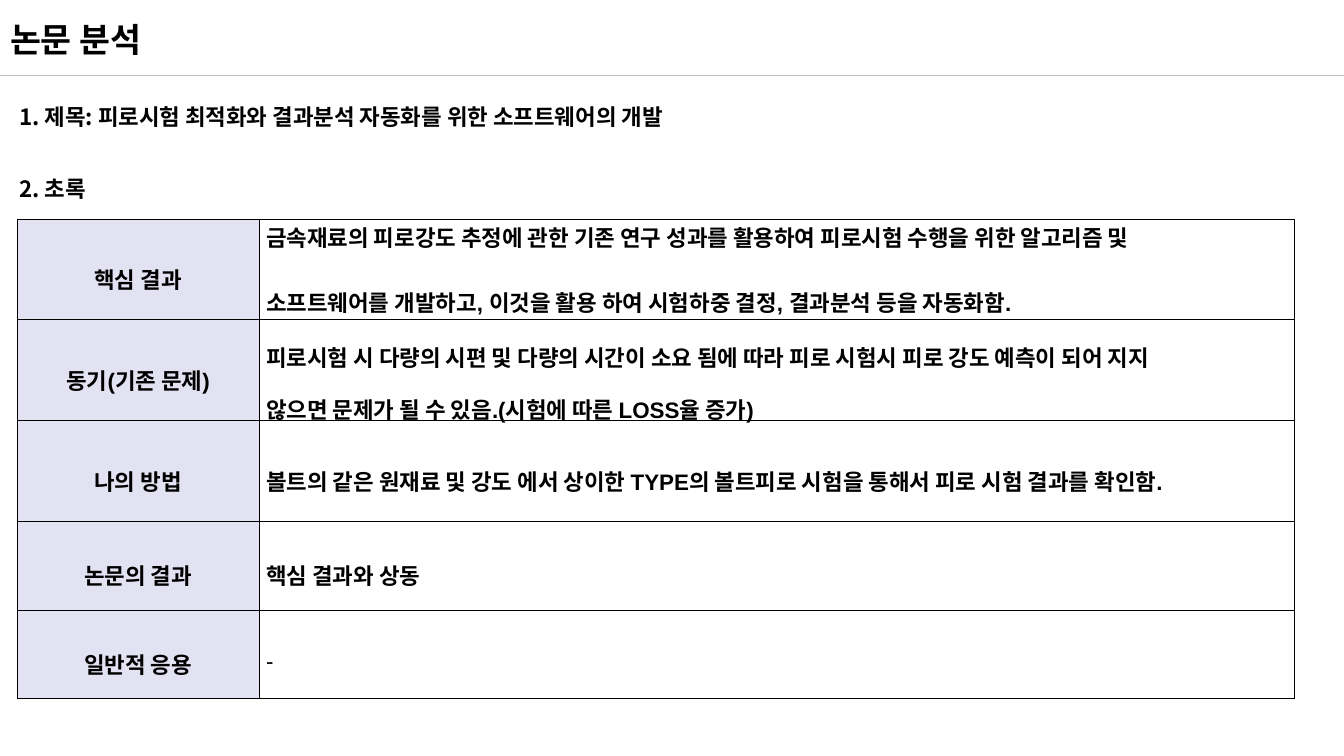
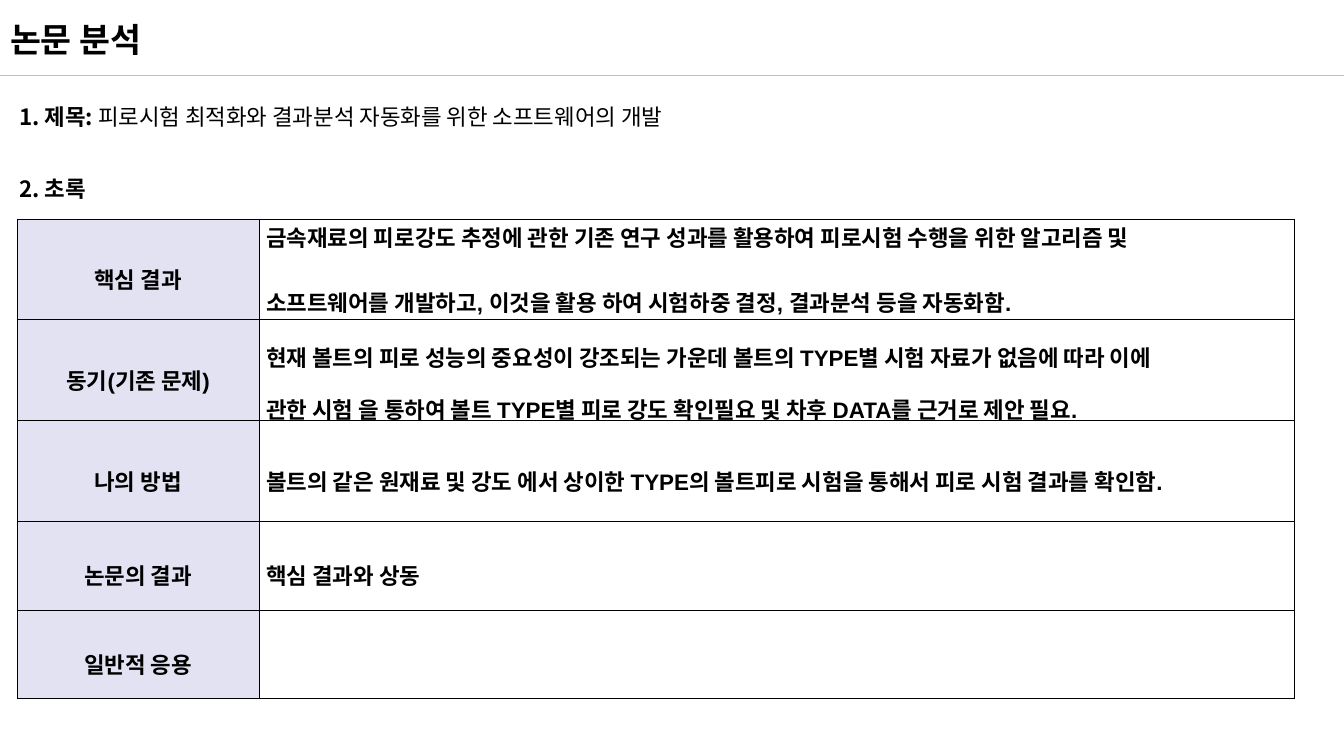
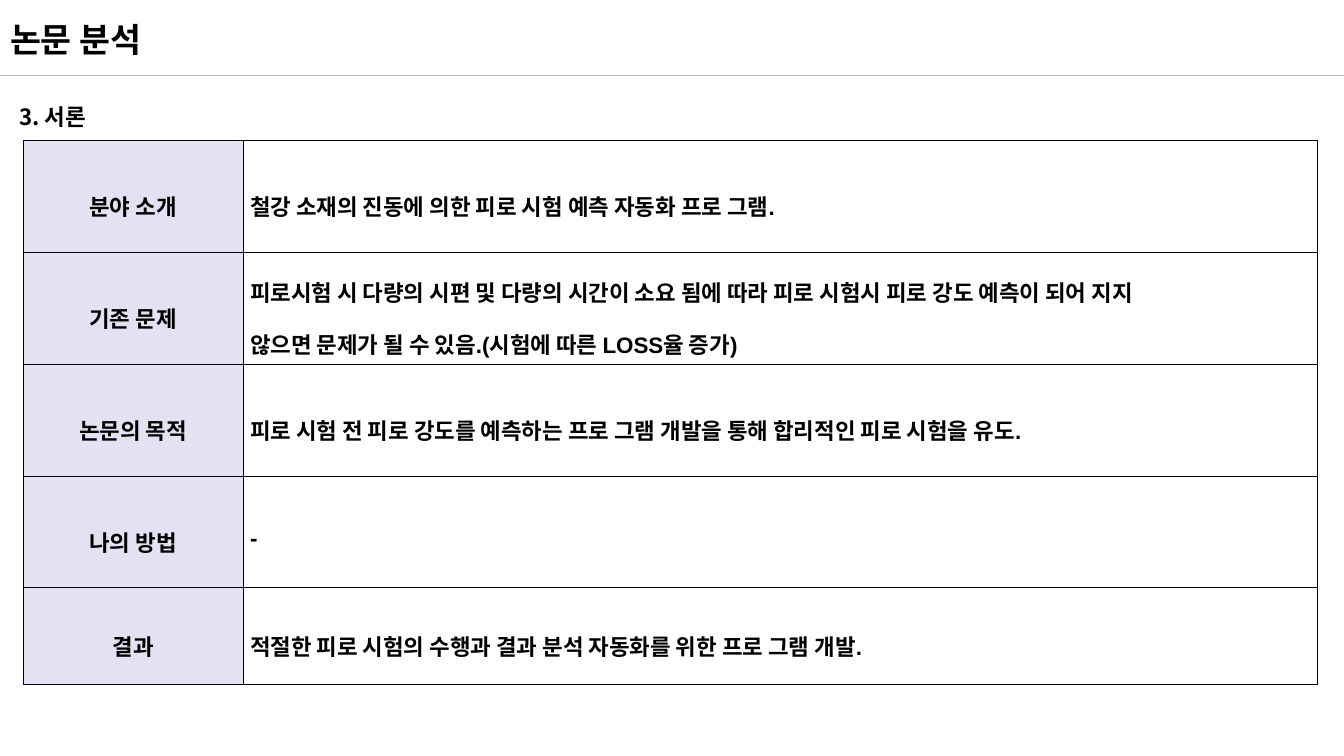
from lxml.etree import SubElement
from pptx import Presentation
from pptx.dml.color import RGBColor as Rgb
from pptx.enum.shapes import MSO_CONNECTOR as Link
from pptx.enum.text import MSO_ANCHOR as Anchor, PP_ALIGN as Align
from pptx.oxml.ns import qn
from pptx.util import Inches, Pt

INK = {"text": "000000", "rule": "BFBFBF", "head": "E3E2F2"}
SANS = "Noto Sans CJK KR"
GAP = Pt(23)
TOPIC = "피로시험 최적화와 결과분석 자동화를 위한 소프트웨어의 개발"
CORE = ["금속재료의 피로강도 추정에 관한 기존 연구 성과를 활용하여 피로시험 수행을 위한 알고리즘 및",
        "소프트웨어를 개발하고, 이것을 활용 하여 시험하중 결정, 결과분석 등을 자동화함."]
LOSS = ["피로시험 시 다량의 시편 및 다량의 시간이 소요 됨에 따라 피로 시험시 피로 강도 예측이 되어 지지",
        "않으면 문제가 될 수 있음.(시험에 따른 LOSS율 증가)"]
NEED = ["현재 볼트의 피로 성능의 중요성이 강조되는 가운데 볼트의 TYPE별 시험 자료가 없음에 따라 이에",
        "관한 시험 을 통하여 볼트 TYPE별 피로 강도 확인필요 및 차후 DATA를 근거로 제안 필요."]
METHOD = ["볼트의 같은 원재료 및 강도 에서 상이한 TYPE의 볼트피로 시험을 통해서 피로 시험 결과를 확인함."]
INTRO = [
    ("분야 소개", ["철강 소재의 진동에 의한 피로 시험 예측 자동화 프로 그램."]),
    ("기존 문제", LOSS),
    ("논문의 목적", ["피로 시험 전 피로 강도를 예측하는 프로 그램 개발을 통해 합리적인 피로 시험을 유도."]),
    ("나의 방법", ["-"]),
    ("결과", ["적절한 피로 시험의 수행과 결과 분석 자동화를 위한 프로 그램 개발."]),
]


def color(key):
    return Rgb.from_string(INK[key])


def style(para, size=16, name=SANS, bold=True):
    font = para.font
    font.size, font.name, font.bold = Pt(size), name, bold
    font.color.rgb = color("text")
    props = para._p.pPr.find(qn("a:defRPr"))
    SubElement(props, qn("a:ea"), typeface=SANS)


def add_rule(slide):
    y = Inches(0.75)
    rule = slide.shapes.add_connector(Link.STRAIGHT, 0, y, Inches(13.33), y)
    rule.line.color.rgb = color("rule")
    rule.line.width = Pt(0.5)
    SubElement(rule._element.spPr, qn("a:effectLst"))


def add_page(deck):
    slide = deck.slides.add_slide(deck.slide_layouts[5])
    add_rule(slide)
    title = slide.shapes.title
    title.left, title.top = Inches(0), Inches(0.14)
    title.width, title.height = Inches(12.84), Inches(0.5)
    frame = title.text_frame
    frame.text = "논문 분석"
    frame.vertical_anchor = Anchor.MIDDLE
    para = frame.paragraphs[0]
    para.alignment = Align.LEFT
    style(para, 24)
    return slide


def add_heads(slide, heads, high):
    box = slide.shapes.add_textbox(Inches(0.09), Inches(0.84), Inches(12.85), Inches(high))
    frame = box.text_frame
    frame.word_wrap = True
    for i, (label, topic, bold) in enumerate(heads):
        para = frame.add_paragraph() if i else frame.paragraphs[0]
        para.line_spacing = 1.5
        if i:
            para.space_before = GAP
        style(para)
        para.add_run().text = label
        if topic:
            run = para.add_run()
            run.text = topic
            if not bold:
                run.font.bold = False


def add_edges(cell):
    props = cell._tc.get_or_add_tcPr()
    for i, side in enumerate(("lnL", "lnR", "lnT", "lnB")):
        line = props.makeelement(qn(f"a:{side}"), {"w": str(Pt(0.28))})
        fill = SubElement(line, qn("a:solidFill"))
        SubElement(fill, qn("a:srgbClr"), val=INK["text"])
        props.insert(i, line)


def fill_cell(cell, lines, align, space=1.6, gap=None, bold=True):
    cell.vertical_anchor = Anchor.MIDDLE
    cell.margin_left = cell.margin_right = Inches(0.07)
    cell.margin_top = cell.margin_bottom = Inches(0.02)
    add_edges(cell)
    frame = cell.text_frame
    for i, line in enumerate(lines):
        para = frame.add_paragraph() if i else frame.paragraphs[0]
        para.text = line
        para.alignment = align
        para.line_spacing = space
        if i and gap:
            para.space_before = gap
        style(para, name="Arial", bold=bold)


def add_grid(slide, left, top, cols, highs, rows, light=False):
    frame = slide.shapes.add_table(len(rows), 2, Inches(left), Inches(top),
                                   Inches(sum(cols)), Inches(sum(highs)))
    grid = frame.table
    grid.first_row = grid.horz_banding = False
    for col, wide in zip(grid.columns, cols):
        col.width = Inches(wide)
    for row, high, (label, lines) in zip(grid.rows, highs, rows):
        row.height = Inches(high)
        head, body = row.cells
        head.fill.solid()
        head.fill.fore_color.rgb = color("head")
        body.fill.background()
        fill_cell(head, [label], Align.CENTER)
        if lines is CORE:
            fill_cell(body, lines, Align.LEFT, 1.0, GAP)
        else:
            fill_cell(body, lines, Align.JUSTIFY, bold=not (light and lines == ["-"]))


def add_digest(deck, bold, motive, usage):
    slide = add_page(deck)
    add_heads(slide, [("1. 제목: ", TOPIC, bold), ("2. 초록", "", True)], 1.77)
    rows = [("핵심 결과", CORE), ("동기(기존 문제)", motive), ("나의 방법", METHOD),
            ("논문의 결과", ["핵심 결과와 상동"]), ("일반적 응용", usage)]
    add_grid(slide, 0.17, 2.17, (2.4, 10.27), [1] * 3 + [0.88] * 2, rows, light=True)


def add_intro(deck):
    slide = add_page(deck)
    add_heads(slide, [("3. 서론", "", True)], 0.91)
    add_grid(slide, 0.23, 1.39, (2.18, 10.65), [1.11] * 4 + [0.96], INTRO)


def main():
    deck = Presentation()
    deck.slide_width, deck.slide_height = Inches(13.33), Inches(7.5)
    add_digest(deck, True, LOSS, ["-"])
    add_digest(deck, False, NEED, [])
    add_intro(deck)
    deck.save("out.pptx")


main()
